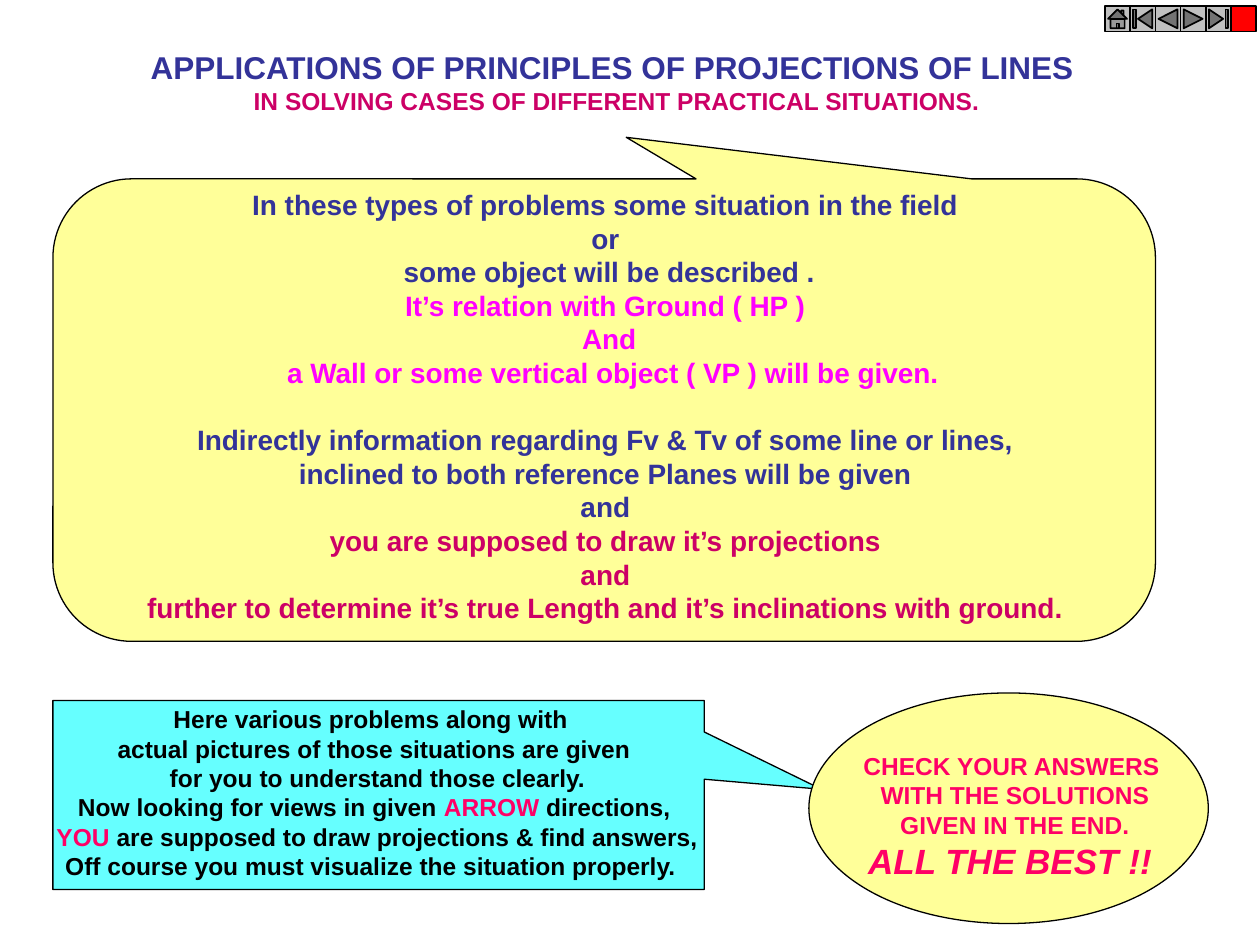
from pptx import Presentation
from pptx.dml.color import RGBColor
from pptx.enum.shapes import MSO_SHAPE
from pptx.enum.text import MSO_ANCHOR, MSO_AUTO_SIZE, PP_ALIGN
from pptx.util import Inches, Pt

ROUND_CALLOUT = MSO_SHAPE.ROUNDED_RECTANGULAR_CALLOUT
RECT_CALLOUT = MSO_SHAPE.RECTANGULAR_CALLOUT
OVAL = MSO_SHAPE.OVAL
HOME = MSO_SHAPE.ACTION_BUTTON_HOME
BEGINNING = MSO_SHAPE.ACTION_BUTTON_BEGINNING
BACK = MSO_SHAPE.ACTION_BUTTON_BACK_OR_PREVIOUS
FORWARD = MSO_SHAPE.ACTION_BUTTON_FORWARD_OR_NEXT
END = MSO_SHAPE.ACTION_BUTTON_END
CUSTOM = MSO_SHAPE.ACTION_BUTTON_CUSTOM

COLORS = {
    "navy": "333399",
    "crimson": "CC0066",
    "magenta": "FF00FF",
    "pink": "FF0066",
    "yellow": "FFFF99",
    "cyan": "66FFFF",
    "gray": "C0C0C0",
    "red": "FF0000",
    "black": "000000",
}
FONT_FORMAT = {"name": "Arial", "bold": True}
FRAME_FORMAT = {
    "word_wrap": False,
    "auto_size": MSO_AUTO_SIZE.NONE,
    "vertical_anchor": MSO_ANCHOR.TOP,
    "margin_left": Inches(0.1),
    "margin_right": Inches(0.1),
    "margin_top": Inches(0.05),
    "margin_bottom": Inches(0.05),
}
LINE_HEIGHT = 1.2

TITLE = [
    ("navy", ["APPLICATIONS OF PRINCIPLES OF PROJECTIONS OF LINES "], {"size": Pt(18)}),
    ("crimson", ["IN SOLVING CASES OF DIFFERENT PRACTICAL SITUATIONS."], {}),
]
PROBLEM_TYPES = [
    ("navy", ["In these types of problems some situation in the field "], {}),
    ("navy", ["or "], {}),
    ("navy", ["some object will be described ."], {}),
    ("magenta", ["It’s relation with Ground ( HP ) "], {}),
    ("magenta", ["And"], {}),
    ("magenta", [" a Wall or some vertical object ( VP ) will be given."], {}),
]
PROBLEM_TASKS = [
    ("navy", ["Indirectly information regarding Fv & Tv of some line or lines, "], {}),
    ("navy", ["inclined to both reference Planes will be given "], {}),
    ("navy", ["and "], {}),
    ("crimson", ["you are supposed to draw it’s projections "], {}),
    ("crimson", ["and "], {}),
    ("crimson", ["further to determine it’s true Length and it’s inclinations with ground. "], {}),
]
INSTRUCTIONS = [
    ("black", ["Here various problems along with "], {}),
    ("black", ["actual pictures of those situations are given"], {}),
    ("black", [" for you to understand those clearly."], {}),
    ("black", ["Now looking for views in given ", ("pink", "ARROW "), "directions,"], {}),
    ("black", [("pink", " YOU"), " are supposed to draw projections & find answers,"], {}),
    ("black", ["Off course you must visualize the situation properly. "], {}),
]
CLOSING = [
    ("pink", ["CHECK YOUR ANSWERS "], {}),
    ("pink", ["WITH THE SOLUTIONS"], {}),
    ("pink", [" GIVEN IN THE END. "], {}),
    ("pink", ["ALL THE BEST !! "], {"size": Pt(20), "italic": True}),
]
BUTTONS = [
    (HOME, "gray"),
    (BEGINNING, "gray"),
    (BACK, "gray"),
    (FORWARD, "gray"),
    (END, "gray"),
    (CUSTOM, "red"),
]
BUTTON_SIZE = 0.2


def apply_format(target, values):
    for name, value in values.items():
        setattr(target, name, value)


class SlideBuilder:
    def __init__(self, slide):
        self.slide = slide

    def color(self, name):
        return RGBColor.from_string(COLORS[name])

    def fill_frame(self, frame, blocks, size):
        apply_format(frame, FRAME_FORMAT)
        paragraph = frame.paragraphs[0]
        for block_index, block in enumerate(blocks):
            for line_index, (line_color, parts, changes) in enumerate(block):
                if block_index or line_index:
                    paragraph = frame.add_paragraph()
                font_format = {**FONT_FORMAT, "size": Pt(size), **changes}
                height = Pt(font_format["size"].pt * LINE_HEIGHT)
                starts_block = block_index > 0 and line_index == 0
                apply_format(paragraph, {
                    "alignment": PP_ALIGN.CENTER,
                    "line_spacing": height,
                    "space_before": height if starts_block else Pt(0),
                    "space_after": Pt(0),
                })
                for part in parts:
                    color, text = (line_color, part) if isinstance(part, str) else part
                    run = paragraph.add_run()
                    run.text = text
                    apply_format(run.font, font_format)
                    run.font.color.rgb = self.color(color)

    def title(self, box, lines, size):
        placeholder = self.slide.shapes.title
        names = ("left", "top", "width", "height")
        apply_format(placeholder, dict(zip(names, map(Inches, box))))
        self.fill_frame(placeholder.text_frame, [lines], size)

    def text(self, box, blocks, size):
        textbox = self.slide.shapes.add_textbox(*map(Inches, box))
        self.fill_frame(textbox.text_frame, blocks, size)

    def shape(self, kind, box, fill, line_width=0.75, adjustments=()):
        shape = self.slide.shapes.add_shape(kind, *map(Inches, box))
        shape.shadow.inherit = False
        for index, value in enumerate(adjustments):
            shape.adjustments[index] = value
        shape.fill.solid()
        shape.fill.fore_color.rgb = self.color(fill)
        shape.line.color.rgb = self.color("black")
        shape.line.width = Pt(line_width)

    def navigation(self, left, top):
        for index, (kind, fill) in enumerate(BUTTONS):
            box = (left + index * BUTTON_SIZE, top, BUTTON_SIZE, BUTTON_SIZE)
            self.shape(kind, box, fill, line_width=1)


def main():
    presentation = Presentation()
    presentation.slide_width = Inches(10)
    presentation.slide_height = Inches(7.5)
    title_only = presentation.slide_layouts[5]
    builder = SlideBuilder(presentation.slides.add_slide(title_only))

    builder.title((1.09, 0.33, 7.61, 0.64), TITLE, 14)
    builder.shape(ROUND_CALLOUT, (0.42, 1.42, 8.75, 3.67), "yellow",
                  adjustments=(0.02, -0.59, 0.17))
    builder.text((1.06, 1.44, 7.55, 3.57), [PROBLEM_TYPES, PROBLEM_TASKS], 16)
    builder.shape(RECT_CALLOUT, (0.42, 5.56, 5.17, 1.5), "cyan",
                  adjustments=(0.68, -0.03))
    builder.text((0.3, 5.54, 5.34, 1.5), [INSTRUCTIONS], 14)
    builder.shape(OVAL, (6.42, 5.5, 3.17, 1.83), "yellow")
    builder.text((6.75, 5.91, 2.61, 1.14), [CLOSING], 14)
    builder.navigation(8.77, 0.05)

    presentation.save("out.pptx")


if __name__ == "__main__":
    main()
